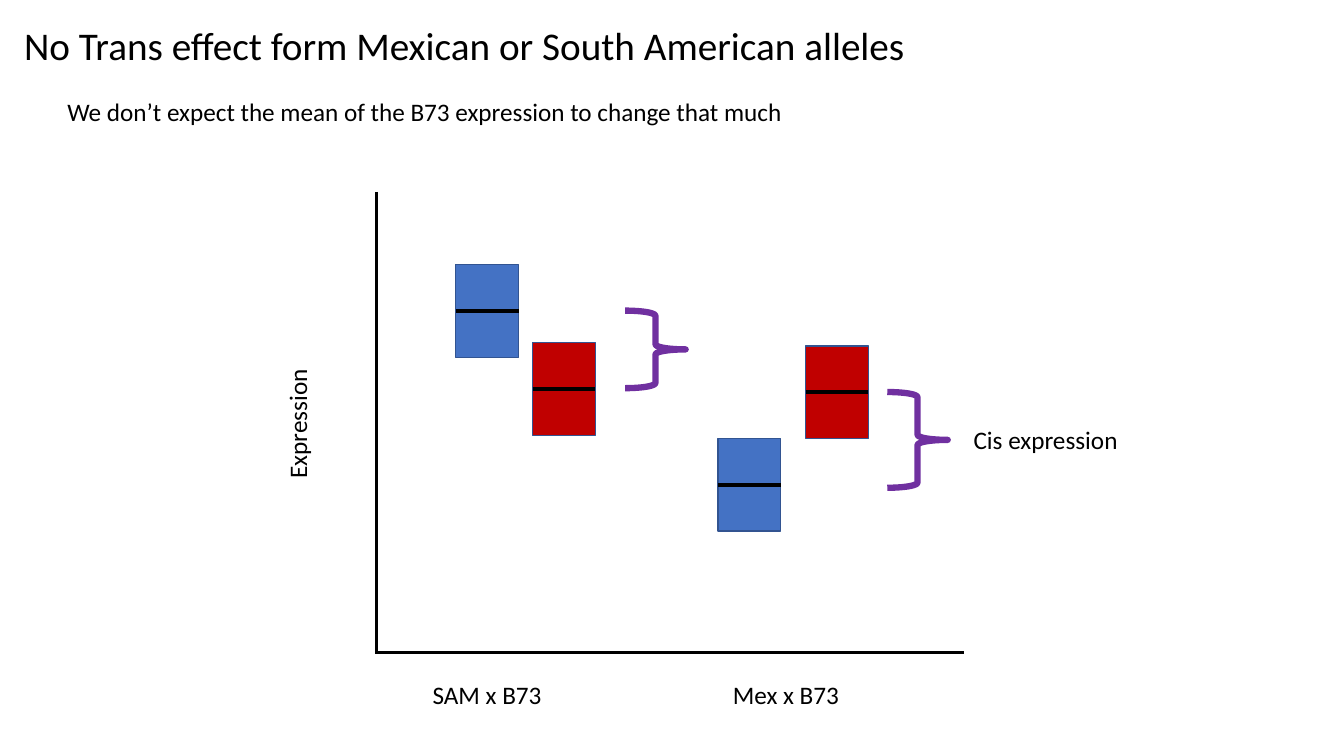
from pptx import Presentation
from pptx.dml.color import RGBColor
from pptx.enum.shapes import MSO_CONNECTOR as Connector, MSO_SHAPE as Shape
from pptx.enum.text import MSO_ANCHOR as Anchor, PP_ALIGN as Align
from pptx.oxml.ns import qn
from pptx.util import Pt
from lxml import etree

BLACK = RGBColor(0x00, 0x00, 0x00)
BLUE = RGBColor(0x44, 0x72, 0xC4)
RED = RGBColor(0xC0, 0x00, 0x00)
EDGE = RGBColor(0x32, 0x54, 0x91)
PURPLE = RGBColor(0x70, 0x30, 0xA0)

BOX_WIDTH, BOX_HEIGHT = 44.9, 66.2
BRACE_WIDTH = 43.2
LABEL_HEIGHT = 29.1

# Offsets from the plot's top left corner: allele boxes as (x, y, fill),
# braces as (x, y, height), cross labels as (text, x, width)
ALLELES = [(56.4, 52.1, BLUE), (243.6, 176.2, BLUE),
           (111.2, 107.8, RED), (306.2, 110, RED)]
BRACES = [(364.6, 143, 68.4), (177.4, 84.9, 55.4)]
CROSSES = [("SAM x B73", 32.7, 153.4), ("Mex x B73", 247.2, 141.8)]


def write(frame, text, size):
    frame.text = text
    frame.word_wrap = True
    paragraph = frame.paragraphs[0]
    paragraph.alignment = Align.LEFT
    font = paragraph.runs[0].font
    for name, value in {"name": "Calibri", "size": Pt(size), "bold": False}.items():
        setattr(font, name, value)
    font.color.rgb = BLACK
    return paragraph


def add_label(slide, text, left, top, width, rotation=0):
    label = slide.shapes.add_textbox(Pt(left), Pt(top), Pt(width), Pt(LABEL_HEIGHT))
    label.rotation = rotation
    write(label.text_frame, text, 18)


def add_line(shapes, x1, y1, x2, y2, weight):
    line = shapes.add_connector(Connector.STRAIGHT, Pt(x1), Pt(y1), Pt(x2), Pt(y2))
    line.line.color.rgb = BLACK
    line.line.width = Pt(weight)
    etree.SubElement(line._element.spPr, qn("a:effectLst"))


def add_outlined(shapes, kind, left, top, width, height, color, weight):
    shape = shapes.add_shape(kind, Pt(left), Pt(top), Pt(width), Pt(height))
    shape.shadow.inherit = False
    shape.line.color.rgb = color
    shape.line.width = Pt(weight)
    return shape


def add_allele(slide, left, top, color):
    """One box with its mean line, grouped."""
    parts = slide.shapes.add_group_shape().shapes
    box = add_outlined(parts, Shape.RECTANGLE, left, top,
                       BOX_WIDTH, BOX_HEIGHT, EDGE, 1)
    box.fill.solid()
    box.fill.fore_color.rgb = color
    mean = top + BOX_HEIGHT / 2
    add_line(parts, left, mean, left + BOX_WIDTH, mean, 3)


def add_heading(slide, left, top, width, height):
    title = slide.shapes.title
    for name, value in {"left": left, "top": top,
                        "width": width, "height": height}.items():
        setattr(title, name, Pt(value))
    title.text_frame.vertical_anchor = Anchor.MIDDLE
    heading = write(title.text_frame,
                    "No Trans effect form Mexican or South American alleles", 28)
    heading.line_spacing = 0.9
    add_label(slide,
              "We don’t expect the mean of the B73 expression to change that much",
              left + 31, top + 65.5, 739.4)


def add_expression_plot(slide, left, top, width, height):
    right, bottom = left + width, top + height
    # Axes and their labels
    add_line(slide.shapes, left, top, left, bottom + 1, 2.25)
    add_line(slide.shapes, right, bottom, left, bottom, 2.25)
    add_label(slide, "Expression", left - 103.6, top + 150.5, 93.6, rotation=270)
    for text, x, label_width in CROSSES:
        add_label(slide, text, left + x, bottom + 15.9, label_width)
    # Allele boxes
    for x, y, color in ALLELES:
        add_allele(slide, left + x, top + y, color)
    # Braces between the means
    for x, y, brace_height in BRACES:
        brace = add_outlined(slide.shapes, Shape.RIGHT_BRACE, left + x, top + y,
                             BRACE_WIDTH, brace_height, PURPLE, 4.5)
        brace.fill.background()
    add_label(slide, "Cis expression", right, top + 162.5, 154.8)


def main():
    deck = Presentation()
    deck.slide_width, deck.slide_height = Pt(960), Pt(540)
    slide = deck.slides.add_slide(deck.slide_layouts[5])
    add_heading(slide, 10, 0, 828, 67.7)
    add_expression_plot(slide, 269.2, 137, 419.1, 328.9)
    deck.save("out.pptx")


if __name__ == "__main__":
    main()
